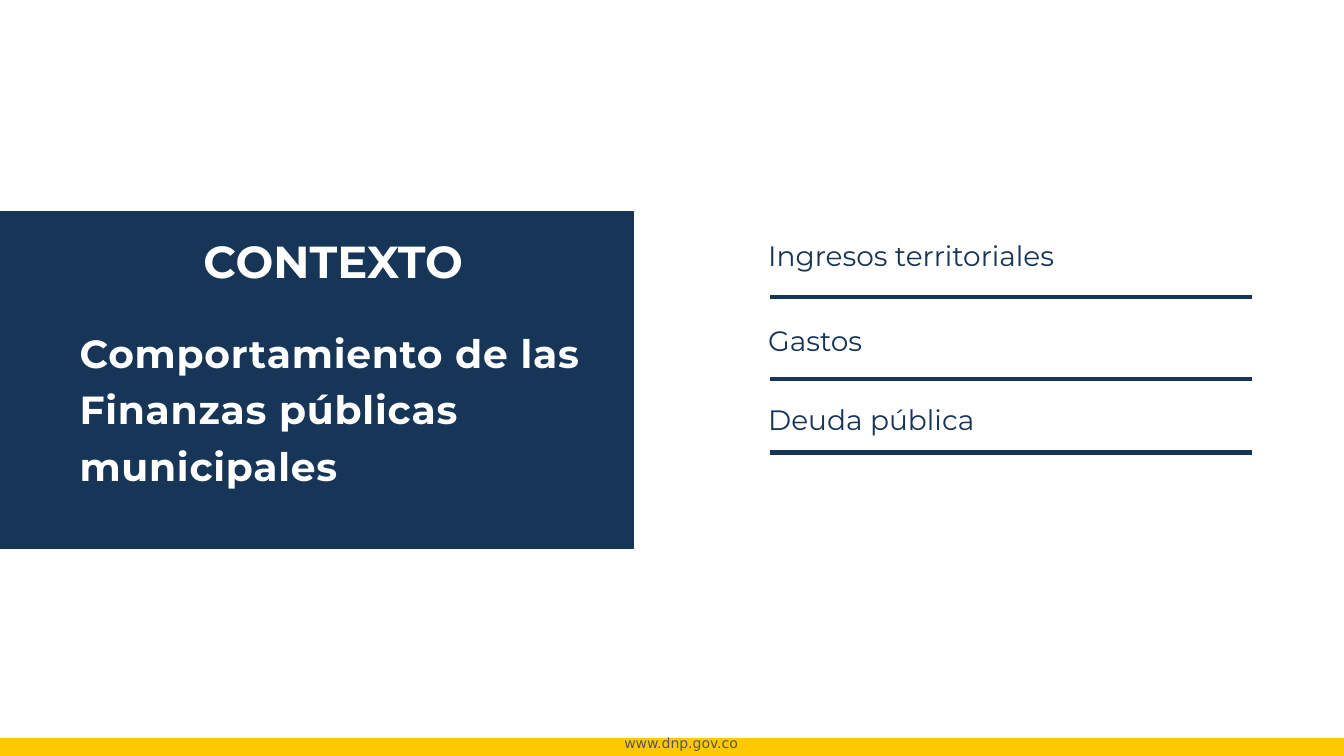
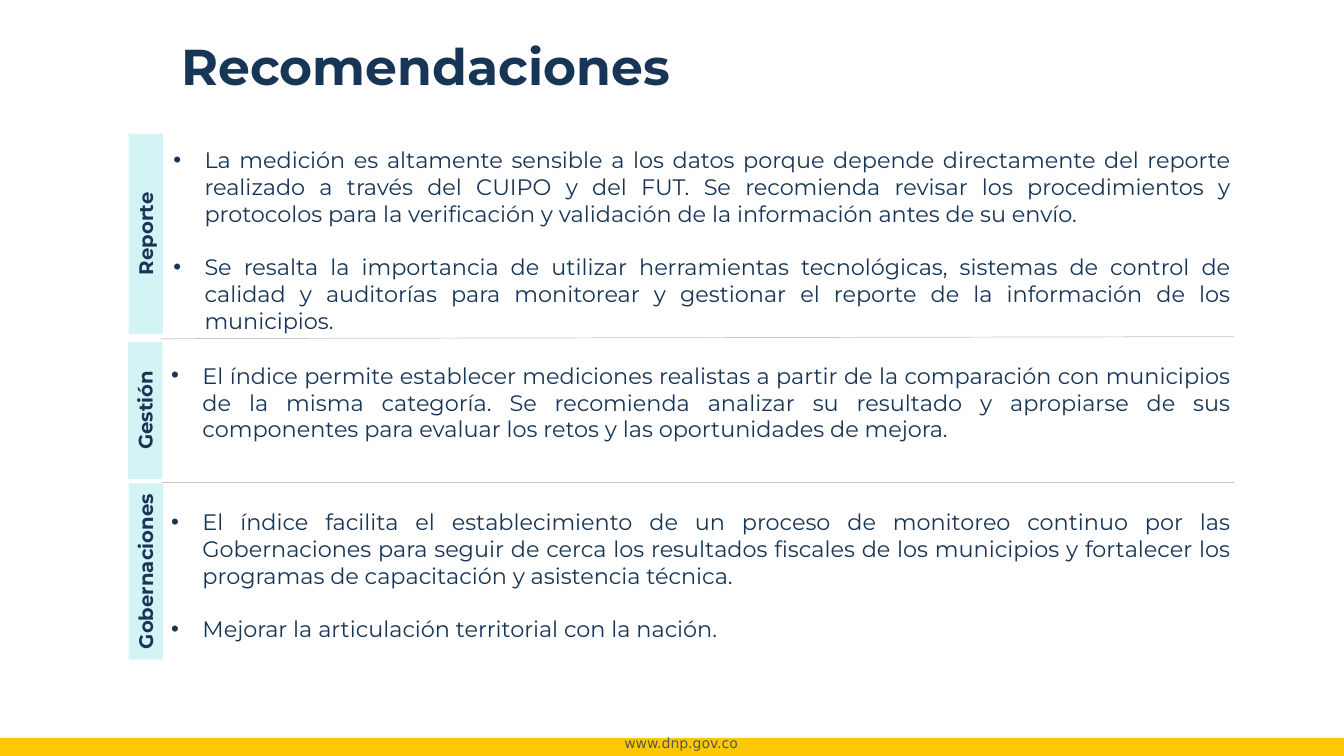
"""Build a section slide and a recommendations slide on municipal finances."""

from dataclasses import dataclass, field
from typing import NamedTuple

from lxml.etree import SubElement
from pptx import Presentation
from pptx.dml.color import RGBColor as Rgb
from pptx.enum.shapes import MSO_CONNECTOR as Link, MSO_SHAPE as Form
from pptx.enum.text import MSO_ANCHOR as Anchor, MSO_AUTO_SIZE as Fit, PP_ALIGN as Align
from pptx.oxml.ns import qn
from pptx.shapes.base import BaseShape
from pptx.slide import Slide
from pptx.util import Emu, Pt

SCALE = 9144


def px(num: int) -> Emu:
    """Turn px into EMU, at 100 px to the inch."""
    return Emu(num * SCALE)


@dataclass(frozen=True)
class Theme:
    """Hold the colours, fonts and type sizes."""

    navy: str = "173557"
    gold: str = "FFC802"
    aqua: str = "D4F3F4"
    rule: str = "C6C6C6"
    gray: str = "575756"
    white: str = "FFFFFF"
    face: str = "Montserrat"
    foot: str = "DejaVu Sans"
    title: int = 36
    head: int = 32
    lead: int = 28
    item: int = 20
    body: int = 16
    tab: int = 14
    small: int = 10


THEME = Theme()


class Box(NamedTuple):
    """Place a frame in px."""

    left: int
    top: int
    wide: int
    high: int


@dataclass(frozen=True)
class Style:
    """Describe how a text looks."""

    size: int
    color: str = THEME.navy
    face: str = THEME.face
    bold: bool = False
    track: int = 0
    bullet: bool = False
    para: dict = field(default_factory=dict)


class Rule(NamedTuple):
    """Join two points in px."""

    x1: int
    y1: int
    x2: int
    y2: int


class Topic(NamedTuple):
    """Pair a side tab with its bullet texts."""

    name: str
    top: int
    span: int
    box: Box
    texts: tuple[str, ...]


MID = {"alignment": Align.CENTER}
FOOT = Style(THEME.small, THEME.gray, THEME.foot, para=MID)
HEAD = Style(THEME.head, THEME.white, bold=True, para=MID)
LEAD = Style(THEME.lead, THEME.white, bold=True, track=60, para={"line_spacing": 1.2})
ITEM = Style(THEME.item)
TITLE = Style(THEME.title, bold=True, para={"line_spacing": 0.9})
TAB = Style(THEME.tab, bold=True, para=MID)
BODY = Style(THEME.body, bullet=True, para={"alignment": Align.JUSTIFY})
GAP = Pt(19)
INDENT = 31
TAB_MID = 144
TAB_WIDE = 34

ITEMS = (
    ("Ingresos territoriales", 232, 295),
    ("Gastos", 316, 376),
    ("Deuda pública", 394, 449),
)
TOPICS = (
    Topic("Reporte", 133, 199, Box(162, 140, 1069, 199), (
        "La medición es altamente sensible a los datos porque depende directamente "
        "del reporte realizado a través del CUIPO y del FUT. Se recomienda revisar "
        "los procedimientos y protocolos para la verificación y validación de la "
        "información antes de su envío.",
        "Se resalta la importancia de utilizar herramientas tecnológicas, sistemas "
        "de control de calidad y auditorías para monitorear y gestionar el reporte "
        "de la información de los municipios.",
    )),
    Topic("Gestión", 339, 136, Box(160, 354, 1071, 91), (
        "El índice permite establecer mediciones realistas a partir de la "
        "comparación con municipios de la misma categoría. Se recomienda analizar "
        "su resultado y apropiarse de sus componentes para evaluar los retos y las "
        "oportunidades de mejora.",
    )),
    Topic("Gobernaciones", 480, 175, Box(160, 499, 1071, 145), (
        "El índice facilita el establecimiento de un proceso de monitoreo continuo "
        "por las Gobernaciones para seguir de cerca los resultados fiscales de los "
        "municipios y fortalecer los programas de capacitación y asistencia técnica.",
        "Mejorar la articulación territorial con la nación.",
    )),
)
SPLITS = (Rule(159, 336, 1224, 334), Rule(161, 479, 1224, 479))


def apply(obj: object, vals: dict) -> None:
    """Set each format value on an object."""
    for key, val in vals.items():
        setattr(obj, key, val)


def block(slide: Slide, box: Box, fill: str) -> BaseShape:
    """Draw a plain filled rectangle."""
    shape = slide.shapes.add_shape(Form.RECTANGLE, *map(px, box))
    shape.shadow.inherit = False
    shape.fill.solid()
    shape.fill.fore_color.rgb = Rgb.from_string(fill)
    shape.line.fill.background()
    return shape


def write(shape: BaseShape, texts: tuple[str, ...], style: Style,
          anchor: Anchor = Anchor.TOP) -> None:
    """Fill a shape with one styled paragraph for each text."""
    frame = shape.text_frame
    apply(frame, {"word_wrap": True, "auto_size": Fit.SHAPE_TO_FIT_TEXT,
                  "vertical_anchor": anchor})
    for num, text in enumerate(texts):
        para = frame.add_paragraph() if num else frame.paragraphs[0]
        apply(para, {"alignment": Align.LEFT, "space_before": GAP if num else Pt(0),
                     **style.para})
        run = para.add_run()
        run.text = text
        apply(run.font, {"size": Pt(style.size), "name": style.face, "bold": style.bold})
        run.font.color.rgb = Rgb.from_string(style.color)
        if style.track:
            run.font._element.set("spc", str(style.track))
        if style.bullet:
            props = para._p.get_or_add_pPr()
            props.set("marL", str(px(INDENT)))
            props.set("indent", str(-px(INDENT)))
            SubElement(props, qn("a:buFont"), typeface="Arial")
            SubElement(props, qn("a:buChar"), char="•")


def label(slide: Slide, box: Box, texts: tuple[str, ...], style: Style) -> None:
    """Add a text box."""
    write(slide.shapes.add_textbox(*map(px, box)), texts, style)


def stroke(slide: Slide, rule: Rule, color: str, width: float) -> None:
    """Draw a straight line without a shadow."""
    line = slide.shapes.add_connector(Link.STRAIGHT, *map(px, rule))
    line.line.color.rgb = Rgb.from_string(color)
    line.line.width = Pt(width)
    SubElement(line._element.spPr, qn("a:effectLst"))


def start(deck: Presentation) -> Slide:
    """Add a blank slide with the shared footer."""
    slide = deck.slides.add_slide(deck.slide_layouts[6])
    block(slide, Box(0, 732, 1333, 18), THEME.gold)
    label(slide, Box(570, 724, 211, 27), ("www.dnp.gov.co",), FOOT)
    return slide


def context(deck: Presentation) -> None:
    """Build the section slide."""
    slide = start(deck)
    for text, top, base in ITEMS:
        stroke(slide, Rule(764, base, 1242, base), THEME.navy, 3)
        label(slide, Box(752, top, 359, 44), (text,), ITEM)
    panel = block(slide, Box(0, 210, 628, 334), THEME.navy)
    panel.line.color.rgb = Rgb.from_string(THEME.navy)
    panel.line.width = Pt(1)
    label(slide, Box(69, 312, 522, 175),
          ("Comportamiento de las Finanzas públicas municipales",), LEAD)
    label(slide, Box(168, 227, 325, 64), ("CONTEXTO",), HEAD)


def advice(deck: Presentation) -> None:
    """Build the recommendations slide."""
    slide = start(deck)
    title = block(slide, Box(170, 36, 1121, 65), THEME.white)
    write(title, ("Recomendaciones",), TITLE, Anchor.MIDDLE)
    for topic in TOPICS:
        label(slide, topic.box, topic.texts, BODY)
        half = topic.span // 2
        place = Box(TAB_MID - half, topic.top + half - TAB_WIDE // 2, topic.span, TAB_WIDE)
        tab = block(slide, place, THEME.aqua)
        tab.rotation = 270
        write(tab, (topic.name,), TAB)
    for rule in SPLITS:
        stroke(slide, rule, THEME.rule, 0.5)


def main() -> None:
    """Build and save the deck."""
    deck = Presentation()
    apply(deck, {"slide_width": px(1333), "slide_height": px(750)})
    context(deck)
    advice(deck)
    deck.save("out.pptx")


if __name__ == "__main__":
    main()
